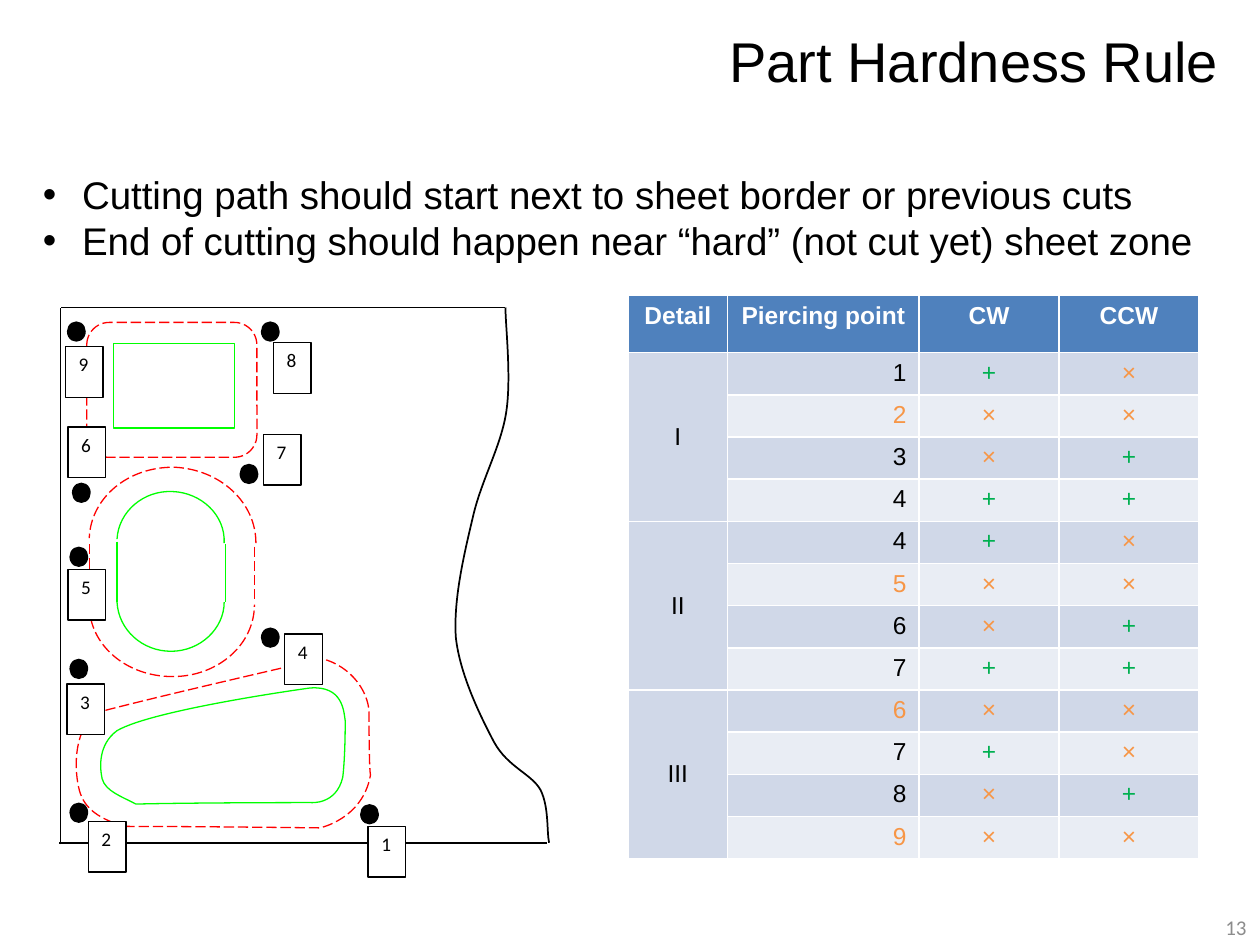
"""Build the slide on the part hardness rule: cutting sketch, verdict table and rules."""
import pptx
import pptx.util
import pptx.dml.color
import pptx.enum.dml
import pptx.enum.shapes
import pptx.enum.text
import pptx.oxml
import pptx.oxml.ns
import pptx.oxml.xmlchemy

Cm, Pt = pptx.util.Cm, pptx.util.Pt
RGB = pptx.dml.color.RGBColor
KIND = pptx.enum.shapes.MSO_SHAPE
ALIGN = pptx.enum.text.PP_ALIGN
ANCHOR = pptx.enum.text.MSO_ANCHOR

BLACK = RGB(0x00, 0x00, 0x00)
WHITE = RGB(0xFF, 0xFF, 0xFF)
GREY = RGB(0x8C, 0x8C, 0x8C)
RED = RGB(0xFF, 0x00, 0x00)
LIME = RGB(0x00, 0xFF, 0x00)
GOOD = RGB(0x00, 0xB0, 0x50)
BAD = RGB(0xF7, 0x96, 0x46)
HEAD = RGB(0x4F, 0x81, 0xBD)
BANDS = RGB(0xD0, 0xD8, 0xE8), RGB(0xE9, 0xED, 0xF4)

TITLE = "Part Hardness Rule"
RULES = [
    "Cutting path should start next to sheet border or previous cuts",
    "End of cutting should happen near “hard” (not cut yet) sheet zone",
]
NUMBER = "13"

HEADER = ["Detail", "Piercing point", "CW", "CCW"]
PARTS = {
    "I": [("1", "+", "×"), ("2", "×", "×"), ("3", "×", "+"), ("4", "+", "+")],
    "II": [("4", "+", "×"), ("5", "×", "×"), ("6", "×", "+"), ("7", "+", "+")],
    "III": [("6", "×", "×"), ("7", "+", "×"), ("8", "×", "+"), ("9", "×", "×")],
}
WIDTHS = [2.01, 3.86, 2.82, 2.82]

LINES = [
    (BLACK, 11.02, 16.99, 1.19, 16.99),
    (BLACK, 10.19, 6.2, 1.22, 6.2),
    (BLACK, 1.22, 17.02, 1.22, 6.2),
    (RED, 1.8, 10.97, 1.8, 11.99),
    (RED, 5.13, 11.02, 5.13, 12.07),
    (LIME, 2.36, 10.92, 2.36, 12.14),
    (LIME, 4.55, 10.97, 4.55, 12.14),
]
CURVES = [
    (BLACK, False, [(10.19, 6.2), (10.19, 6.55), (10.31, 7.59), (10.21, 8.28),
                    (10.11, 8.99), (9.7, 9.68), (9.53, 10.44),
                    (9.35, 11.2), (9.14, 12.09), (9.19, 12.85),
                    (9.27, 13.59), (9.68, 14.43), (9.96, 14.96),
                    (10.24, 15.47), (10.72, 15.6), (10.9, 15.93),
                    (11.07, 16.28), (11.02, 16.76), (11.07, 16.99)]),
    (RED, False, [(5.16, 10.95), (5.16, 10.13), (4.45, 9.47), (3.53, 9.42),
                  (2.59, 9.4), (1.83, 10.03), (1.8, 10.85)]),
    (RED, False, [(1.8, 12.19), (1.8, 13), (2.54, 13.64), (3.48, 13.64),
                  (4.39, 13.64), (5.13, 13), (5.13, 12.19)]),
    (LIME, False, [(4.52, 10.95), (4.55, 10.39), (4.06, 9.93), (3.48, 9.91),
                   (2.9, 9.88), (2.39, 10.31), (2.36, 10.87)]),
    (LIME, False, [(2.36, 12.14), (2.39, 12.7), (2.87, 13.13), (3.45, 13.13),
                   (4.04, 13.13), (4.52, 12.67), (4.52, 12.14)]),
    (LIME, True, [(2.74, 16.21), (3.94, 16.18), (6.27, 16.18), (6.27, 16.18),
                  (6.27, 16.18), (6.78, 16.23), (6.91, 15.67),
                  (6.91, 15.67), (6.96, 15.32), (6.96, 14.53),
                  (6.93, 14.33), (6.91, 13.82), (6.25, 13.87),
                  (6.25, 13.87), (3.1, 14.3), (2.36, 14.73),
                  (1.98, 15.01), (2.01, 15.47), (2.06, 15.7),
                  (2.13, 15.95), (2.44, 16.05), (2.74, 16.21)]),
    (RED, True, [(2.51, 16.66), (3.96, 16.66), (6.45, 16.69), (6.45, 16.69),
                 (6.45, 16.69), (7.32, 16.51), (7.47, 15.62),
                 (7.47, 15.62), (7.44, 15.6), (7.44, 14.35),
                 (7.42, 13.94), (7.09, 13.44), (6.5, 13.28),
                 (6.5, 13.28), (3.12, 14.05), (1.9, 14.38),
                 (1.47, 14.81), (1.5, 15.54), (1.6, 15.93),
                 (1.7, 16.31), (2.01, 16.51), (2.51, 16.66)]),
]
BOXES = [
    (KIND.ROUNDED_RECTANGLE, RED, (1.75, 6.5, 3.43, 2.72)),
    (KIND.RECTANGLE, LIME, (2.29, 6.93, 2.44, 1.7)),
]
TAGS = {
    "6": (1.37, 8.61), "2": (1.78, 16.56), "3": (1.35, 13.79),
    "4": (5.74, 12.78), "5": (1.37, 11.48), "1": (7.42, 16.66),
    "7": (5.31, 8.76), "8": (5.51, 6.91), "9": (1.32, 6.99),
}
DOTS = [(5.26, 6.48), (1.35, 6.48), (1.45, 9.73), (4.83, 9.35), (1.4, 11.02),
        (5.26, 12.65), (1.4, 13.28), (1.4, 16.18), (7.26, 16.21)]


def place(item, *box):
    item.left, item.top, item.width, item.height = map(Cm, box)


def style(para, size, color, face="Arial", align=None, bold=False):
    para.alignment = align
    for run in para.runs:
        font = run.font
        font.name, font.size, font.bold = face, Pt(size), bold
        font.color.rgb = color


def stroke(item, color, width=0.75):
    item.line.color.rgb = color
    item.line.width = Pt(width)
    if color == RED:
        item.line.dash_style = pptx.enum.dml.MSO_LINE.LONG_DASH


def add(group, kind, box, fill=None):
    item = group.add_shape(kind, *map(Cm, box))
    item.shadow.inherit = False
    if fill is None:
        item.fill.background()
    else:
        item.fill.solid()
        item.fill.fore_color.rgb = fill
    return item


def bend(curve):
    tag = pptx.oxml.ns.qn("a:lnTo")
    legs = list(curve._element.iter(tag))
    for at in range(0, len(legs), 3):
        arc = pptx.oxml.xmlchemy.OxmlElement("a:cubicBezTo")
        legs[at].addprevious(arc)
        for leg in legs[at:at + 3]:
            arc.append(leg[0])
            leg.getparent().remove(leg)


def sketch(group):
    for color, closed, nodes in CURVES:
        first, *rest = [tuple(map(Cm, node)) for node in nodes]
        pen = group.build_freeform(*first)
        pen.add_line_segments(rest, close=False)
        if closed:
            pen._add_close()
        curve = pen.convert_to_shape()
        bend(curve)
        curve.shadow.inherit = False
        curve.fill.background()
        stroke(curve, color, 1 if color == BLACK else 0.75)
    for color, *ends in LINES:
        line = group.add_connector(pptx.enum.shapes.MSO_CONNECTOR.STRAIGHT, *map(Cm, ends))
        stroke(line, color, 1 if color == BLACK else 0.75)
        props = line.line._get_or_add_ln().getparent()
        props.append(pptx.oxml.xmlchemy.OxmlElement("a:effectLst"))
    for kind, color, box in BOXES:
        stroke(add(group, kind, box), color)
    for name, spot in TAGS.items():
        tag = add(group, KIND.RECTANGLE, (*spot, 0.76, 1.02), WHITE)
        stroke(tag, BLACK)
        frame = tag.text_frame
        frame.text = name
        frame.vertical_anchor = ANCHOR.TOP
        frame.margin_left, frame.margin_right = 0, Cm(0.03)
        frame.margin_top = frame.margin_bottom = Cm(0.05)
        para = frame.paragraphs[0]
        para.line_spacing, para.space_after = 1.15, Pt(10)
        style(para, 11, BLACK, "Calibri", ALIGN.CENTER)
    for spot in DOTS:
        add(group, KIND.OVAL, (*spot, 0.38, 0.41), BLACK).line.fill.background()


def put(cell, text, fill, color, align=ALIGN.CENTER, bold=False):
    cell.text = text
    cell.fill.solid()
    cell.fill.fore_color.rgb = fill
    style(cell.text_frame.paragraphs[0], 14, color, align=align, bold=bold)


def tabulate(shapes):
    rows = [(part, *row) for part, group in PARTS.items() for row in group]
    table = shapes.add_table(len(rows) + 1, len(HEADER), Cm(12.66), Cm(5.96),
                             Cm(sum(WIDTHS)), Cm(11.33)).table
    for col, width in zip(table.columns, WIDTHS):
        col.width = Cm(width)
    for at, row in enumerate(table.rows):
        row.height = Cm(0.85 if at else 1.15)
    for col, text in enumerate(HEADER):
        put(table.cell(0, col), text, HEAD, WHITE, bold=True)
    for at, (part, point, *marks) in enumerate(rows, 1):
        band = BANDS[(at - 1) % 2]
        hue = BAD if marks == ["×", "×"] else BLACK
        put(table.cell(at, 1), point, band, hue, ALIGN.RIGHT)
        for col, mark in enumerate(marks, 2):
            put(table.cell(at, col), mark, band, GOOD if mark == "+" else BAD)
    top = 1
    for part, group in PARTS.items():
        cell = table.cell(top, 0)
        cell.merge(table.cell(top + len(group) - 1, 0))
        put(cell, part, BANDS[0], BLACK)
        cell.vertical_anchor = ANCHOR.MIDDLE
        top += len(group)


def main():
    deck = pptx.Presentation()
    deck.slide_width, deck.slide_height = Cm(25.4), Cm(19.05)
    slide = deck.slides.add_slide(deck.slide_layouts[1])
    title, body = slide.placeholders
    place(title, 14.38, 0.41, 10.44, 1.63)
    title.text_frame.text = TITLE
    title.text_frame.word_wrap = False
    style(title.text_frame.paragraphs[0], 32, BLACK, align=ALIGN.RIGHT)
    place(body, 0.61, 3.32, 24.08, 2.13)
    body.text_frame.text = "\n".join(RULES)
    for para in body.text_frame.paragraphs:
        style(para, 22, BLACK, align=ALIGN.LEFT)
        para.space_before = Pt(0)
        props = para._p.get_or_add_pPr()
        props.set("marL", str(Cm(0.79)))
        props.set("indent", str(Cm(-0.79)))
    for item in (title, body):
        item.text_frame.vertical_anchor = ANCHOR.TOP
        item.text_frame.auto_size = pptx.enum.text.MSO_AUTO_SIZE.NONE
    sketch(slide.shapes.add_group_shape().shapes)
    tabulate(slide.shapes)
    page = slide.shapes.add_textbox(Cm(24.31), Cm(18.34), Cm(1.07), Cm(0.71)).text_frame
    page.text = NUMBER
    page.word_wrap = False
    page.vertical_anchor = ANCHOR.MIDDLE
    style(page.paragraphs[0], 12, GREY, "Calibri", ALIGN.RIGHT)
    deck.save("out.pptx")


if __name__ == "__main__":
    main()
